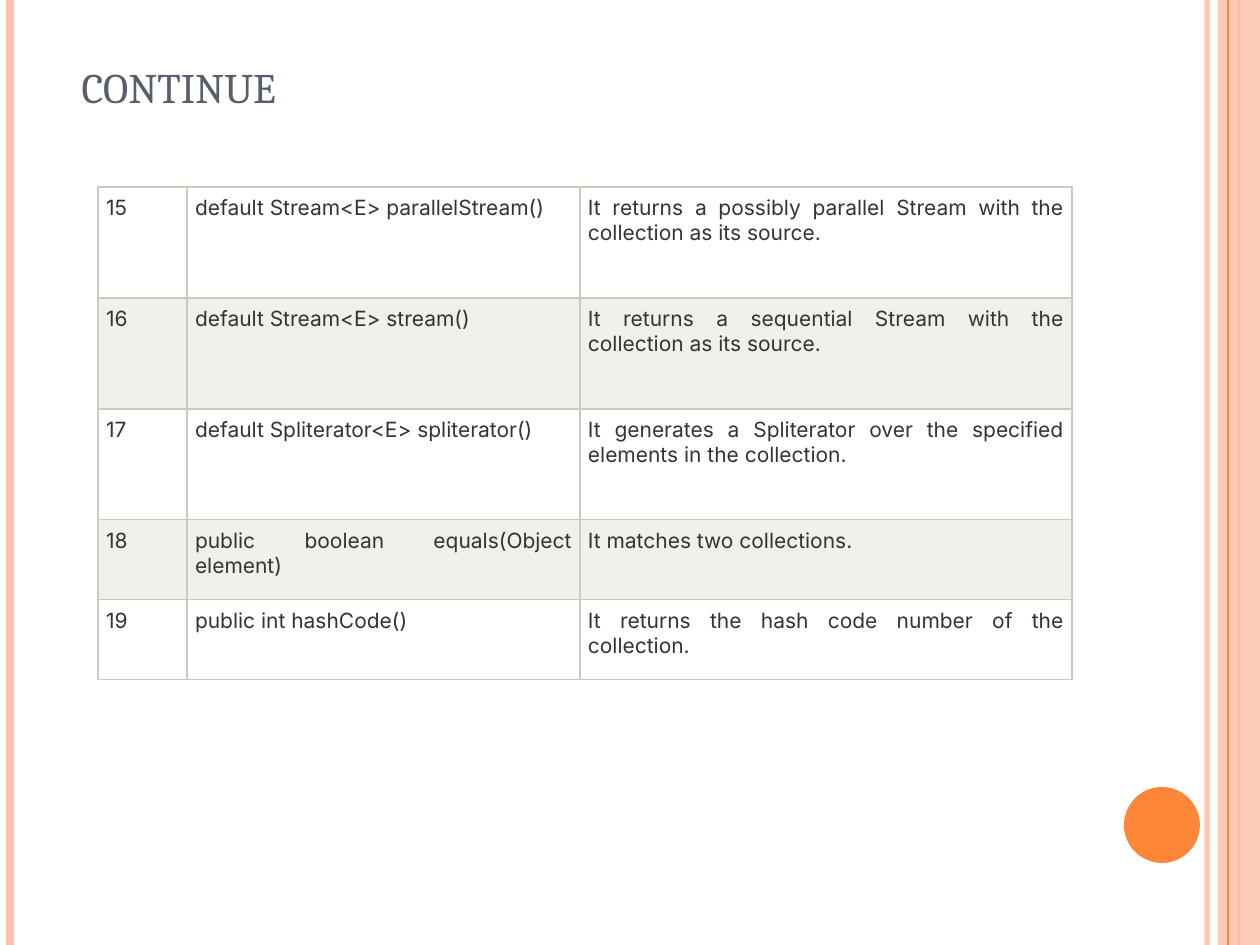
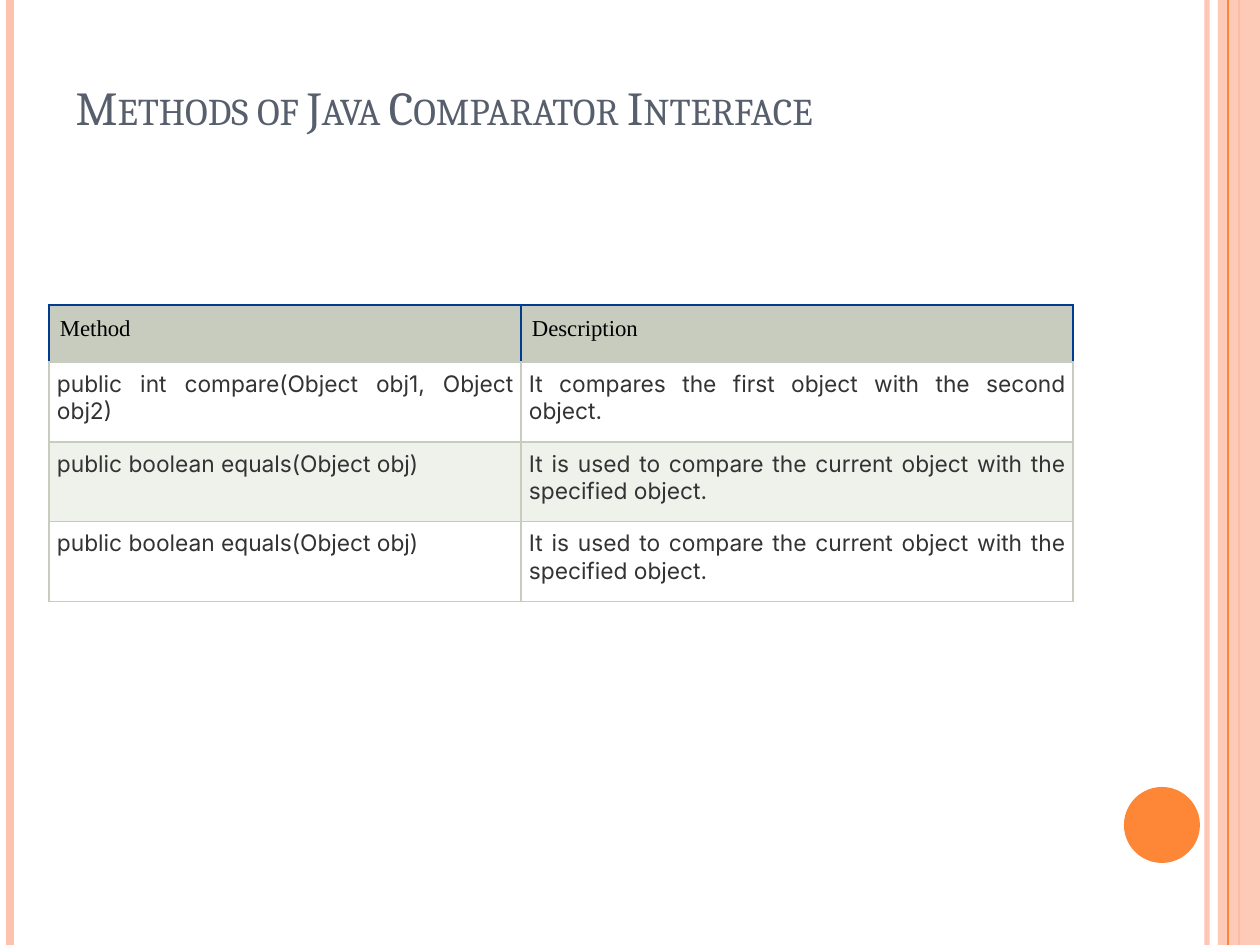
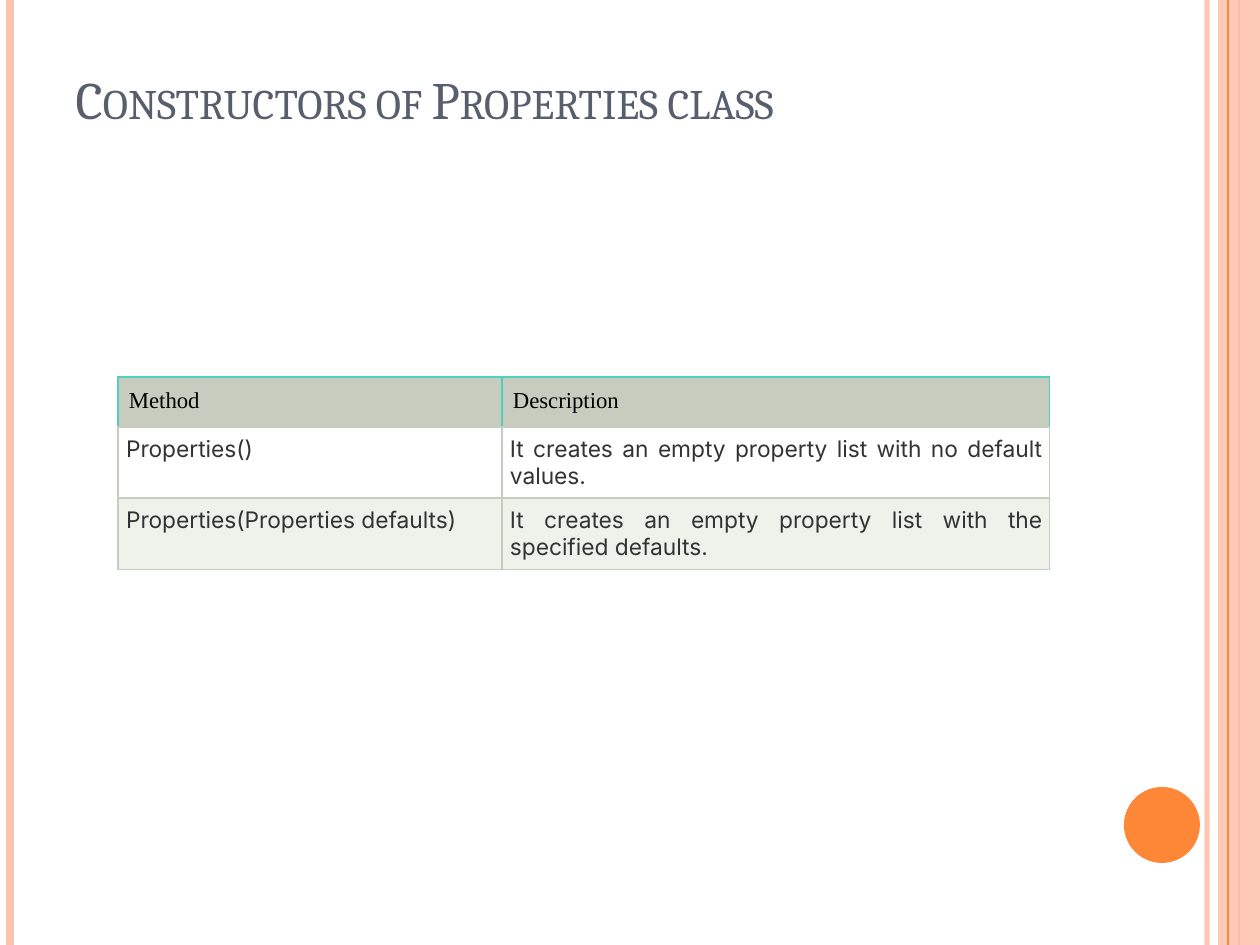
"""Build three slides on Java collection methods, each a title over a table."""
from lxml import etree
from pptx import Presentation
from pptx.dml.color import RGBColor
from pptx.enum.shapes import MSO_CONNECTOR, MSO_SHAPE
from pptx.enum.text import MSO_ANCHOR, MSO_AUTO_SIZE, PP_ALIGN
from pptx.oxml.ns import qn
from pptx.util import Pt

STRAIGHT = MSO_CONNECTOR.STRAIGHT
RECT, OVAL = MSO_SHAPE.RECTANGLE, MSO_SHAPE.OVAL
BOTTOM, TOP = MSO_ANCHOR.BOTTOM, MSO_ANCHOR.TOP
LEFT, JUSTIFY = PP_ALIGN.LEFT, PP_ALIGN.JUSTIFY
NO_FIT = MSO_AUTO_SIZE.NONE

SCALE = 914400 / 126
WIDE, HIGH = 1260, 945
TITLE_ONLY = 5
COLORS = {
    "peach": "FEC3AE", "orange": "FE8637", "slate": "575F6D",
    "ink": "333333", "black": "000000", "white": "FFFFFF",
    "sage": "C7CCBE", "pale": "EFF1EB", "navy": "003C8F", "teal": "50D0BC",
}

DECOR = [
    ("line", 1207, 3, "peach", 93),
    ("line", 10, 4.5, "peach", 100),
    ("line", 1239, 1.5, "orange", 100),
    ("shape", RECT, (1218, 0, 42, HIGH), "peach", 87),
    ("line", 1228, 0.75, "orange", 100),
    ("shape", OVAL, (1124, 787, 76, 76), "orange", 100),
]

HEADER = ("Method", "Description")
SLIDES = [
    {
        "title": "continue", "size": 30, "box": (69, 29, 1029, 91), "foot": 6,
        "at": (98, 187), "cols": (89, 393, 492),
        "rows": (111, 111, 111, 80, 80), "text": 12, "edge": None,
        "cells": [
            ("15", "default Stream<E> parallelStream()",
             "It returns a possibly parallel Stream with the collection as its source."),
            ("16", "default Stream<E> stream()",
             "It returns a sequential Stream with the collection as its source."),
            ("17", "default Spliterator<E> spliterator()",
             "It generates a Spliterator over the specified elements in the collection."),
            ("18", "public boolean equals(Object element)",
             "It matches two collections."),
            ("19", "public int hashCode()",
             "It returns the hash code number of the collection."),
        ],
    },
    {
        "title": "Methods of Java Comparator Interface", "size": 27,
        "box": (63, 38, 1029, 157), "foot": 60,
        "at": (49, 305), "cols": (472, 552),
        "rows": (57, 80, 80, 80), "text": 13, "edge": "navy",
        "cells": [
            HEADER,
            ("public int compare(Object obj1, Object obj2)",
             "It compares the first object with the second object."),
            ("public boolean equals(Object obj)",
             "It is used to compare the current object with the specified object."),
            ("public boolean equals(Object obj)",
             "It is used to compare the current object with the specified object."),
        ],
    },
    {
        "title": "Constructors of Properties class", "size": 30,
        "box": (63, 38, 1029, 157), "foot": 65,
        "at": (118, 377), "cols": (384, 548),
        "rows": (50, 70, 71), "text": 13, "edge": "teal",
        "cells": [
            HEADER,
            ("Properties()",
             "It creates an empty property list with no default values."),
            ("Properties(Properties defaults)",
             "It creates an empty property list with the specified defaults."),
        ],
    },
]


def px(n):
    return round(n * SCALE)


def rgb(name):
    return RGBColor.from_string(COLORS[name])


def sub(node, tag, **attrs):
    return etree.SubElement(node, qn(tag), attrs)


def fade(shape, alpha):
    if alpha < 100:
        color = next(shape.element.spPr.iter(qn("a:srgbClr")))
        sub(color, "a:alpha", val=str(alpha * 1000))


def style(para, font, size, color, align):
    para.alignment = align
    for run in para.runs:
        run.font.name = font
        run.font.size = Pt(size)
        run.font.color.rgb = rgb(color)


def add_line(shapes, x, width, color, alpha):
    line = shapes.add_connector(STRAIGHT, px(x), 0, px(x), px(HIGH))
    line.line.color.rgb = rgb(color)
    line.line.width = Pt(width)
    sub(line.element.spPr, "a:effectLst")
    fade(line, alpha)
    return line


def add_shape(shapes, kind, box, color, alpha):
    shape = shapes.add_shape(kind, *map(px, box))
    shape.shadow.inherit = False
    shape.fill.solid()
    shape.fill.fore_color.rgb = rgb(color)
    shape.line.fill.background()
    fade(shape, alpha)
    return shape


def add_decor(slide):
    tree = slide.slide_layout.shapes.element
    make = {"line": add_line, "shape": add_shape}
    for num, (kind, *args) in enumerate(DECOR, 50):
        item = make[kind](slide.shapes, *args).element
        item.xpath(".//p:cNvPr")[0].set("id", str(num))
        tree.append(item)


def set_title(slide, data):
    title = slide.shapes.title
    title.left, title.top, title.width, title.height = map(px, data["box"])
    frame = title.text_frame
    frame.text = data["title"]
    frame.auto_size = NO_FIT
    frame.vertical_anchor = BOTTOM
    frame.margin_bottom = px(data["foot"])
    para = frame.paragraphs[0]
    style(para, "Cambria", data["size"], "slate", LEFT)
    para.runs[0].font._element.set("cap", "small")


def set_edges(cell, colors):
    props = cell._tc.get_or_add_tcPr()
    for spot, (side, color) in enumerate(zip("LRTB", colors)):
        edge = sub(props, f"a:ln{side}", w=str(Pt(0.75)))
        sub(sub(edge, "a:solidFill"), "a:srgbClr", val=COLORS[color])
        props.insert(spot, edge)


def set_cell(cell, text, size, fill, edge):
    cell.text = text
    cell.vertical_anchor = TOP
    cell.fill.solid()
    cell.fill.fore_color.rgb = rgb(fill)
    pad = px(11 if edge else 8)
    cell.margin_left = cell.margin_right = pad
    cell.margin_top = cell.margin_bottom = pad
    look = ("Times New Roman", size, "black", LEFT) if edge else (
        "Inter", size, "ink", JUSTIFY)
    style(cell.text_frame.paragraphs[0], *look)
    set_edges(cell, [edge or "sage"] * 3 + ["sage"])


def add_table(slide, data):
    cols, rows = data["cols"], data["rows"]
    box = (*data["at"], sum(cols), sum(rows))
    table = slide.shapes.add_table(len(rows), len(cols), *map(px, box)).table
    table.first_row = table.horz_banding = False
    for col, width in zip(table.columns, cols):
        col.width = px(width)
    for row, height in zip(table.rows, rows):
        row.height = px(height)
    head = 1 if data["edge"] else 0
    for r, texts in enumerate(data["cells"]):
        fill = "sage" if r < head else ("white", "pale")[(r - head) % 2]
        edge = data["edge"] if r < head else None
        for c, text in enumerate(texts):
            set_cell(table.cell(r, c), text, data["text"], fill, edge)


deck = Presentation()
deck.slide_width, deck.slide_height = px(WIDE), px(HIGH)
layout = deck.slide_layouts[TITLE_ONLY]
for data in SLIDES:
    slide = deck.slides.add_slide(layout)
    if len(deck.slides) == 1:
        add_decor(slide)
    set_title(slide, data)
    add_table(slide, data)
deck.save("out.pptx")
